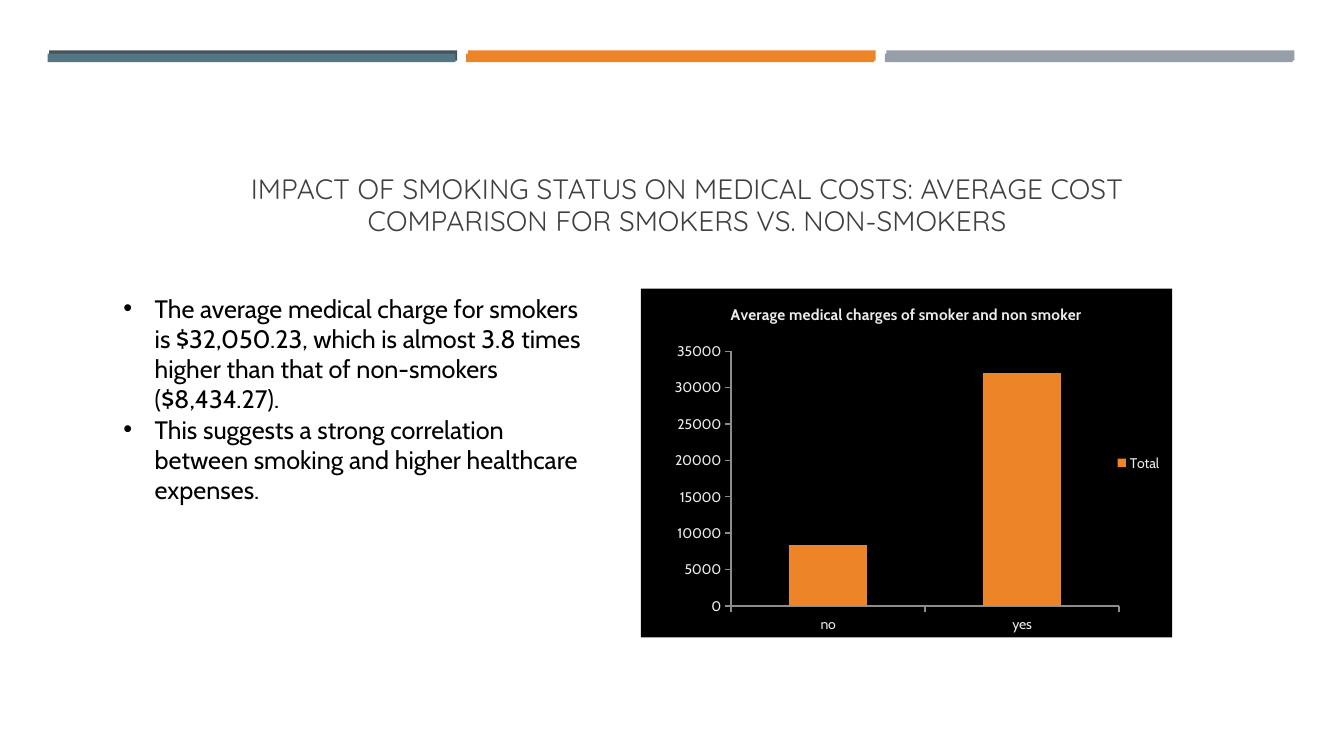
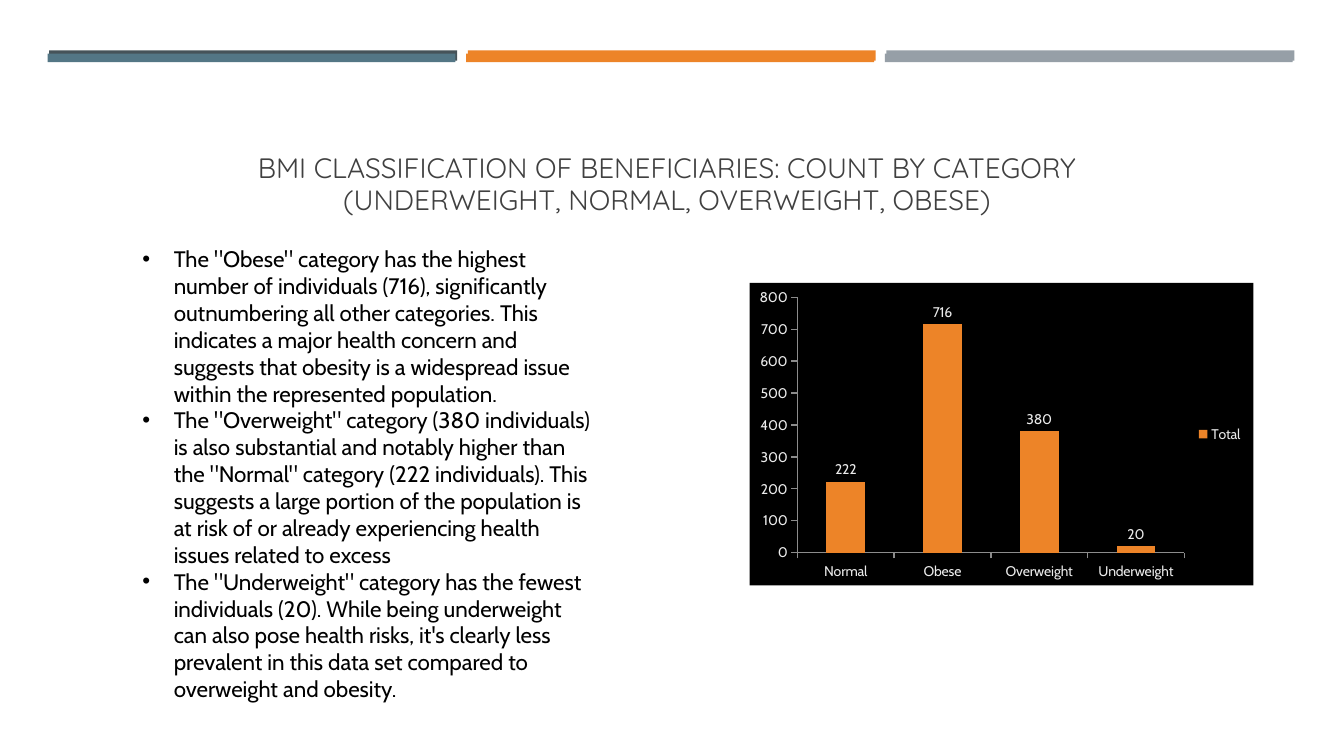
from lxml import etree
from pptx import Presentation
from pptx.chart.data import CategoryChartData
from pptx.dml.color import RGBColor
from pptx.enum import chart as chart_enum, shapes, text
from pptx.oxml import parse_xml
from pptx.oxml.ns import nsdecls, qn
from pptx.util import Cm, Pt

BLACK = RGBColor(0x00, 0x00, 0x00)
CHARCOAL = RGBColor(0x40, 0x40, 0x40)
DARK_SLATE = RGBColor(0x46, 0x53, 0x59)
TEAL = RGBColor(0x53, 0x76, 0x85)
ORANGE = RGBColor(0xED, 0x84, 0x28)
SILVER = RGBColor(0x96, 0x9F, 0xA7)
PALE = RGBColor(0xEB, 0xEB, 0xEB)
AXIS_GREY = RGBColor(0x8C, 0x8C, 0x8C)

TITLE_FONT = "Quicksand"
BODY_FONT = "Cabin"
TITLE_ONLY = 5


class Deck:
    """Holds the presentation, its style and the slide being built."""

    def __init__(self):
        self.presentation = Presentation()
        self.presentation.slide_width = Cm(33.87)
        self.presentation.slide_height = Cm(19.05)
        self.layout = self.presentation.slide_layouts[TITLE_ONLY]
        self.slide = None

    def add_slide(self):
        self.slide = self.presentation.slides.add_slide(self.layout)
        if len(self.presentation.slides) == 1:
            self.add_top_bands()

    def add_top_bands(self):
        """Draw the three double bands and move them to the shared layout."""
        columns = [(DARK_SLATE, TEAL), (ORANGE, ORANGE), (SILVER, SILVER)]
        for column, (back, front) in enumerate(columns):
            offset = 10.55 * column
            for color, left, top, height in ((back, 1.24, 1.27, 0.26), (front, 1.2, 1.35, 0.22)):
                band = self.slide.shapes.add_shape(
                    shapes.MSO_SHAPE.RECTANGLE, Cm(left + offset), Cm(top), Cm(10.28), Cm(height))
                band.shadow.inherit = False
                band.fill.solid()
                band.fill.fore_color.rgb = color
                band.line.fill.background()
                self.layout.shapes.element.append(band.element)

    def add_run(self, paragraph, content, font_name, size, color):
        run = paragraph.add_run()
        run.text = content
        run.font.name = font_name
        run.font.size = Pt(size)
        run.font.color.rgb = color

    def add_title(self, content, left, top):
        title = self.slide.shapes.title
        title.left, title.top, title.width, title.height = Cm(left), Cm(top), Cm(25.4), Cm(3.33)
        frame = title.text_frame
        frame.auto_size = text.MSO_AUTO_SIZE.NONE
        frame.vertical_anchor = text.MSO_ANCHOR.MIDDLE
        paragraph = frame.paragraphs[0]
        paragraph.alignment = text.PP_ALIGN.CENTER
        paragraph.line_spacing = 0.97
        self.add_run(paragraph, content, TITLE_FONT, 20, CHARCOAL)

    def add_bullets(self, items, left, top, width, height, size):
        box = self.slide.shapes.add_textbox(Cm(left), Cm(top), Cm(width), Cm(height))
        frame = box.text_frame
        frame.word_wrap = True
        for index, item in enumerate(items):
            paragraph = frame.add_paragraph() if index else frame.paragraphs[0]
            self.add_run(paragraph, item, BODY_FONT, size, BLACK)
            properties = paragraph._p.get_or_add_pPr()
            properties.set("marL", str(Cm(0.79)))
            properties.set("indent", str(-Cm(0.79)))
            etree.SubElement(properties, qn("a:buFont")).set("typeface", "Arial")
            etree.SubElement(properties, qn("a:buChar")).set("char", "•")

    def add_column_chart(self, values, left, top, width, height, maximum, step,
                         title=None, labels=False, plot_box=None):
        """Draw a dark column chart; plot_box gives x, y, w, h as fractions."""
        data = CategoryChartData()
        data.categories = list(values)
        data.add_series("Total", list(values.values()))
        chart = self.slide.shapes.add_chart(
            chart_enum.XL_CHART_TYPE.COLUMN_CLUSTERED,
            Cm(left), Cm(top), Cm(width), Cm(height), data).chart
        self.style_chart_font(chart.font, 10)

        chart.has_title = title is not None
        if title:
            paragraph = chart.chart_title.text_frame.paragraphs[0]
            self.style_chart_font(paragraph.font, 11)
            self.add_run(paragraph, title, BODY_FONT, 11, PALE)
            paragraph.runs[0].font.bold = True

        chart.has_legend = True
        chart.legend.position = chart_enum.XL_LEGEND_POSITION.RIGHT
        chart.legend.include_in_layout = False

        for axis in (chart.category_axis, chart.value_axis):
            axis.has_major_gridlines = False
            axis.major_tick_mark = chart_enum.XL_TICK_MARK.OUTSIDE
            axis.format.line.color.rgb = AXIS_GREY
            axis.format.line.width = Pt(1)
        chart.value_axis.minimum_scale = 0
        chart.value_axis.maximum_scale = maximum
        chart.value_axis.major_unit = step

        plot = chart.plots[0]
        plot.gap_width = 150
        plot.vary_by_categories = False
        fill = plot.series[0].format.fill
        fill.solid()
        fill.fore_color.rgb = ORANGE
        if labels:
            plot.has_data_labels = True
            plot.data_labels.show_value = True
            plot.data_labels.position = chart_enum.XL_LABEL_POSITION.OUTSIDE_END
            self.style_chart_font(plot.data_labels.font, 10)
        self.darken_chart(chart, plot_box)

    def style_chart_font(self, font, size):
        font.name = BODY_FONT
        font.size = Pt(size)
        font.color.rgb = PALE

    def darken_chart(self, chart, plot_box):
        """Fill chart and plot areas, and place the inner plot if asked."""
        background = (f'<c:spPr {nsdecls("c", "a")}><a:solidFill><a:srgbClr val="{BLACK}"/>'
                      '</a:solidFill><a:ln><a:noFill/></a:ln></c:spPr>')
        chart_element = chart.element.find(qn("c:chart"))
        chart_element.addnext(parse_xml(background))
        plot_area = chart_element.find(qn("c:plotArea"))
        plot_area.append(parse_xml(background))
        if plot_box:
            for layout in plot_area.findall(qn("c:layout")):
                plot_area.remove(layout)
            settings = [("layoutTarget", "inner"), ("xMode", "edge"), ("yMode", "edge")]
            settings += zip("xywh", plot_box)
            manual = "".join(f'<c:{name} val="{value}"/>' for name, value in settings)
            plot_area.insert(0, parse_xml(
                f'<c:layout {nsdecls("c")}><c:manualLayout>{manual}</c:manualLayout></c:layout>'))


def add_smoking_slide(deck):
    deck.add_slide()
    deck.add_title("IMPACT OF SMOKING STATUS ON MEDICAL COSTS: AVERAGE COST COMPARISON "
                   "FOR SMOKERS VS. NON-SMOKERS", 4.62, 3.52)
    deck.add_column_chart({"no": 8400, "yes": 32000}, 16.15, 7.27, 13.39, 8.79,
                          maximum=35000, step=5000,
                          title="Average medical charges of smoker and non smoker",
                          plot_box=(0.17, 0.18, 0.73, 0.73))
    deck.add_bullets([
        "The average medical charge for smokers is $32,050.23, which is almost 3.8 times "
        "higher than that of non-smokers ($8,434.27).",
        "This suggests a strong correlation between smoking and higher healthcare expenses.",
    ], 2.86, 7.26, 12.19, 5.64, size=18)


def add_bmi_slide(deck):
    deck.add_slide()
    deck.add_title("BMI CLASSIFICATION OF BENEFICIARIES: COUNT BY CATEGORY "
                   "(UNDERWEIGHT, NORMAL, OVERWEIGHT, OBESE)", 4.11, 2.99)
    deck.add_column_chart({"Normal": 222, "Obese": 716, "Overweight": 380, "Underweight": 20},
                          18.89, 7.13, 12.7, 7.62, maximum=800, step=100, labels=True)
    deck.add_bullets([
        'The "Obese" category has the highest number of individuals (716), significantly '
        "outnumbering all other categories. This indicates a major health concern and "
        "suggests that obesity is a widespread issue within the represented population.",
        'The "Overweight" category (380 individuals) is also substantial and notably higher '
        'than the "Normal" category (222 individuals). This suggests a large portion of the '
        "population is at risk of or already experiencing health issues related to excess",
        'The "Underweight" category has the fewest individuals (20). While being underweight '
        "can also pose health risks, it's clearly less prevalent in this data set compared "
        "to overweight and obesity.",
    ], 3.34, 6.06, 11.96, 11.89, size=16)


def main():
    deck = Deck()
    add_smoking_slide(deck)
    add_bmi_slide(deck)
    deck.presentation.save("out.pptx")


if __name__ == "__main__":
    main()
